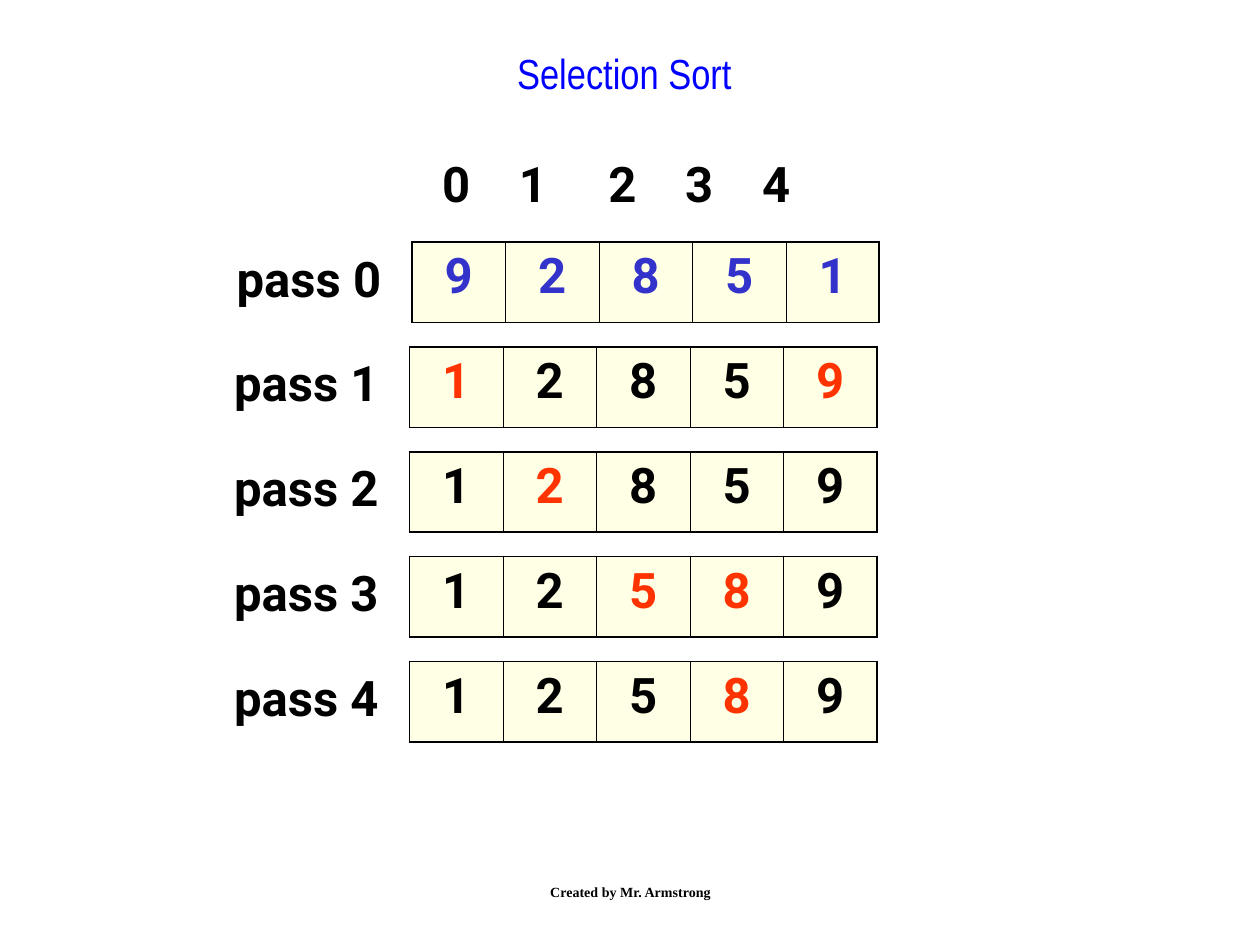
from dataclasses import dataclass

from lxml import etree
from pptx import Presentation
from pptx.dml.color import RGBColor
from pptx.enum.text import MSO_ANCHOR, PP_ALIGN
from pptx.oxml.ns import qn
from pptx.util import Inches, Pt

CENTER = PP_ALIGN.CENTER
LEFT = PP_ALIGN.LEFT
TOP = MSO_ANCHOR.TOP
MIDDLE = MSO_ANCHOR.MIDDLE


@dataclass(frozen=True)
class Theme:
    title_color: RGBColor = RGBColor(0x00, 0x00, 0xFF)
    text_color: RGBColor = RGBColor(0x00, 0x00, 0x00)
    start_color: RGBColor = RGBColor(0x33, 0x33, 0xCC)
    moved_color: RGBColor = RGBColor(0xFF, 0x33, 0x00)
    cell_color: RGBColor = RGBColor(0xFF, 0xFF, 0xCC)
    title_font: str = "Arial Narrow"
    body_font: str = "Roboto"
    footer_font: str = "Times New Roman"
    title_size: Pt = Pt(24)
    body_size: Pt = Pt(28)
    footer_size: Pt = Pt(8)
    outer_line: Pt = Pt(1.08)
    inner_line: Pt = Pt(0.45)


theme = Theme()

# Each pass: array values and the positions that are highlighted
PASSES = [
    ("92851", ()),
    ("12859", (0, 4)),
    ("12859", (1,)),
    ("12589", (2, 3)),
    ("12589", (3,)),
]
INDEX_TABS = (0.61, 1.32, 1.93, 2.54)
TABLE_WIDTH = 3.71
ROW_HEIGHT = 0.64
FIRST_TOP = 1.92
LAST_TOP = 5.25
PASS_STEP = (LAST_TOP - FIRST_TOP) / (len(PASSES) - 1)


def write(frame, text, name, size, color, bold=True, align=LEFT, anchor=TOP, wrap=True):
    """Fill a text frame with one formatted paragraph."""
    frame.word_wrap = wrap
    frame.vertical_anchor = anchor
    paragraph = frame.paragraphs[0]
    paragraph.text = text
    paragraph.alignment = align
    font = paragraph.font
    font.name, font.size, font.bold = name, size, bold
    font.color.rgb = color


def add_border(cell, side, width):
    line = etree.SubElement(cell._tc.get_or_add_tcPr(), qn(f"a:ln{side}"), w=str(width))
    fill = etree.SubElement(line, qn("a:solidFill"))
    etree.SubElement(fill, qn("a:srgbClr"), val=str(theme.text_color))


presentation = Presentation()
presentation.slide_width = Inches(10)
presentation.slide_height = Inches(7.5)
slide = presentation.slides.add_slide(presentation.slide_layouts[5])
shapes = slide.shapes

title = shapes.title
title.left, title.top = Inches(1.83), Inches(0.33)
title.width, title.height = Inches(6.25), Inches(0.67)
write(title.text_frame, "Selection Sort", theme.title_font, theme.title_size,
      theme.title_color, bold=False, align=CENTER)

# Array indexes above the columns
index_box = shapes.add_textbox(Inches(3.41), Inches(1.17), Inches(3.42), Inches(0.57))
index_paragraph = index_box.text_frame.paragraphs[0]
tab_list = etree.SubElement(index_paragraph._p.get_or_add_pPr(), qn("a:tabLst"))
for position in INDEX_TABS:
    etree.SubElement(tab_list, qn("a:tab"), pos=str(Inches(position)), algn="l")
write(index_box.text_frame, "0\t1\t2\t3\t4", theme.body_font, theme.body_size,
      theme.text_color)

# One label and one single-row table per pass
for number, (values, highlighted) in enumerate(PASSES):
    top = Inches(FIRST_TOP + number * PASS_STEP)
    shift = 0.02 if number == 0 else 0
    label = shapes.add_textbox(Inches(1.76 + shift), top, Inches(1.39), Inches(0.57))
    write(label.text_frame, f"pass {number}", theme.body_font, theme.body_size,
          theme.text_color, wrap=False)

    last = len(values) - 1
    table = shapes.add_table(1, len(values), Inches(3.25 + shift), top,
                             Inches(TABLE_WIDTH), Inches(ROW_HEIGHT)).table
    table.first_row = False
    table.horz_banding = False
    base_color = theme.start_color if number == 0 else theme.text_color
    for column, value in enumerate(values):
        cell = table.cell(0, column)
        add_border(cell, "L", theme.outer_line if column == 0 else theme.inner_line)
        add_border(cell, "R", theme.outer_line if column == last else theme.inner_line)
        add_border(cell, "T", theme.outer_line)
        add_border(cell, "B", theme.outer_line)
        cell.fill.solid()
        cell.fill.fore_color.rgb = theme.cell_color
        fill_color = cell._tc.tcPr.find(qn("a:solidFill")).find(qn("a:srgbClr"))
        etree.SubElement(fill_color, qn("a:alpha"), val="50000")
        color = theme.moved_color if column in highlighted else base_color
        write(cell.text_frame, value, theme.body_font, theme.body_size, color, align=CENTER)

footer = shapes.add_textbox(Inches(3.42), Inches(6.83), Inches(3.17), Inches(0.5))
write(footer.text_frame, "Created by Mr. Armstrong", theme.footer_font,
      theme.footer_size, theme.text_color, align=CENTER, anchor=MIDDLE)

presentation.save("out.pptx")
